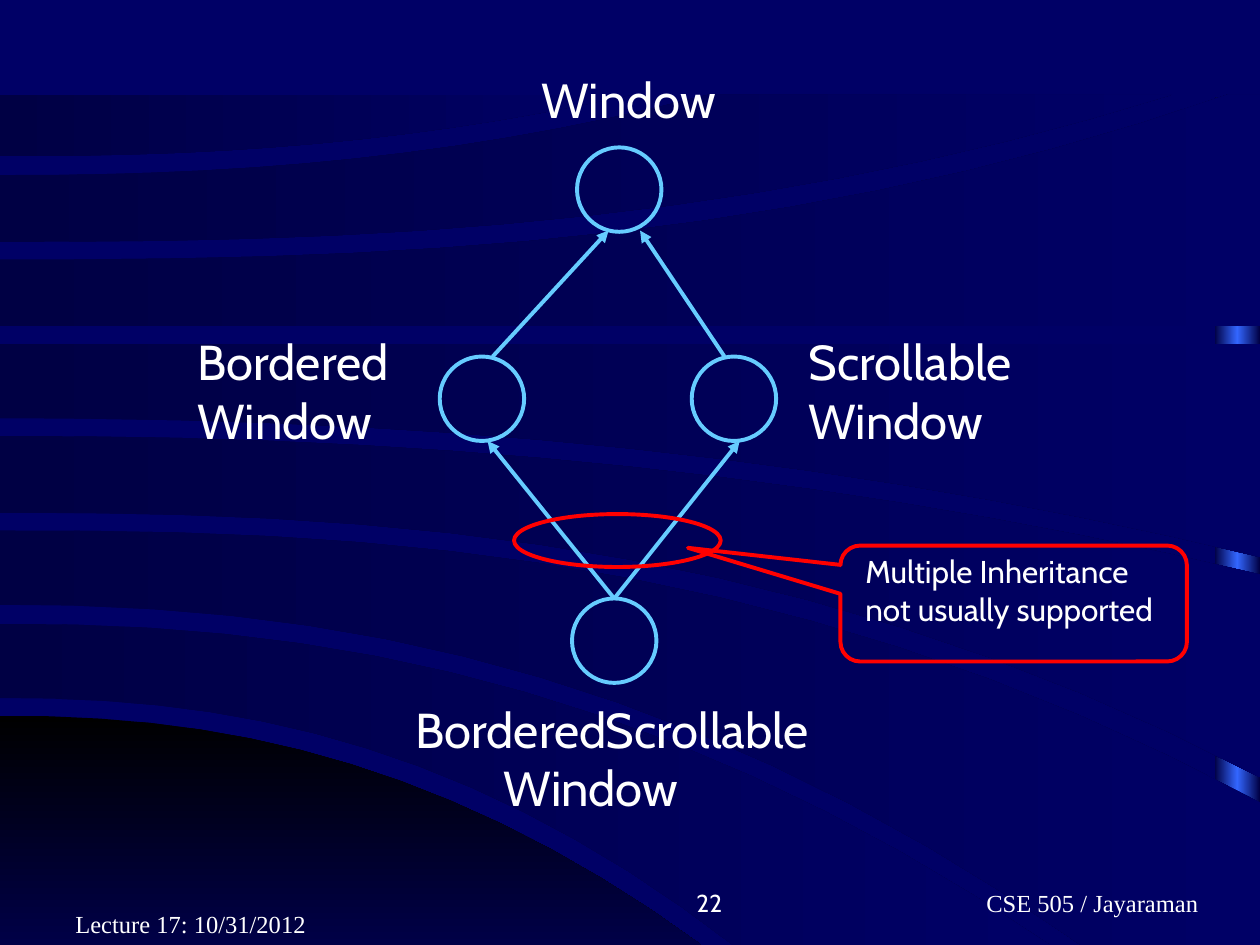
"""Builds the multiple inheritance slide: a diamond of window classes on a banded background."""
from copy import deepcopy
from dataclasses import dataclass

from lxml import etree
from pptx import Presentation
from pptx import util as u
from pptx.dml.color import RGBColor
from pptx.enum import shapes, text
from pptx.oxml.ns import qn

COLS, ROWS = 10, 7.5
TOP_LIMIT, STEPS = 0.75, 14


@dataclass(frozen=True)
class Theme:
    """Colours, fonts and sizes used on the slide."""
    ground: str = "000066"
    band: str = "000044"
    black: str = "000000"
    corner_end: str = "000047"
    glow: str = "3366FF"
    ink: str = "FFFFFF"
    node: str = "66CCFF"
    alert: str = "FF0000"
    sans: str = "Cabin"
    serif: str = "Times New Roman"
    label: int = 28
    note: int = 18
    footer: int = 14
    line: float = 2.25


@dataclass(frozen=True)
class Box:
    """Left, top, width and height in grid columns and rows."""
    x: float
    y: float
    w: float
    h: float


@dataclass(frozen=True)
class Edge:
    """A curve that leaves the left side at a row and drops by a power of its column."""
    row: float
    drop: float = 0
    power: float = 1

    def reach(self) -> float:
        """Return the column where the curve meets a limit or the right side."""
        if self.row in (TOP_LIMIT, ROWS):
            return 0
        if not self.drop:
            return COLS
        room = (ROWS if self.drop > 0 else TOP_LIMIT) - self.row
        return COLS * min(1, (room / self.drop) ** (1 / self.power))

    def points(self) -> list:
        """Return evenly spaced points along the curve."""
        columns = [self.reach() * i / STEPS for i in range(STEPS + 1)]
        return [(x, self.row + self.drop * (x / COLS) ** self.power) for x in columns]


T = Theme()
D = 0.67
CORNER = (Edge(5.68, 6.76, 2.24), Edge(ROWS))
BANDS = (
    (Edge(4.95, 3.83, 2.23), Edge(5.54, 6.81, 2.3)),
    (Edge(4.21, 2.16, 2.5), Edge(4.8, 3.8, 2.23)),
    (Edge(3.46, 1.1, 2.17), Edge(4.07, 2.1, 2.5)),
    (Edge(2.73), Edge(3.32, 1.1, 2.2)),
    (Edge(2.06, -1.4, 2.6), Edge(2.59)),
    (Edge(1.39, -2.4, 2.3), Edge(1.92, -1.4, 2.5)),
    (Edge(TOP_LIMIT), Edge(1.24, -2.4, 2.3)),
)
NODES = {"window": (4.58, 1.17), "bordered": (3.49, 2.83),
         "scrollable": (5.49, 2.83), "both": (4.54, 4.75)}
UPPER_ARROWS = (((3.91, 2.83), (4.83, 1.83)), ((5.75, 2.83), (5.08, 1.83)))
LOWER_TIPS = ((5.87, 3.5), (3.87, 3.5))
LABELS = (
    (("Window",), Box(4.2, 0.5, 1.68, 0.57)),
    (("Scrollable", "Window"), Box(6.32, 2.58, 2.07, 1.04)),
    (("Bordered", "Window"), Box(1.47, 2.58, 2.02, 1.04)),
)

prs = Presentation()
prs.slide_width, prs.slide_height = u.Inches(10), u.Inches(7.5)
s = prs.slides.add_slide(prs.slide_layouts[6])


def at(x: float, y: float) -> tuple:
    """Turn a grid position into slide lengths."""
    return u.Emu(int(prs.slide_width * x / COLS)), u.Emu(int(prs.slide_height * y / ROWS))


def rgb(colour: str) -> RGBColor:
    """Turn a hex string into a colour."""
    return RGBColor.from_string(colour)


def shade(sp, start: str, end: str, angle: float = 0) -> None:
    """Give a shape a two-colour gradient without outline or shadow."""
    sp.shadow.inherit = False
    sp.line.fill.background()
    sp.fill.gradient()
    sp.fill.gradient_angle = angle
    for place, (stop, colour) in enumerate(zip(sp.fill.gradient_stops, (start, end))):
        stop.color.rgb = rgb(colour)
        stop.position = place


def area(upper: Edge, lower: Edge, start: str, end: str, angle: float = 0) -> None:
    """Draw the gradient area between two edges."""
    short, far = sorted((upper, lower), key=Edge.reach)
    corner = (far.reach(), short.points()[-1][1])
    outer = [at(*point) for point in upper.points() + [corner] + lower.points()[::-1]]
    builder = s.shapes.build_freeform(*outer[0])
    builder.add_line_segments(outer[1:], close=True)
    shade(builder.convert_to_shape(), start, end, angle)


def edge_glow(box: Box) -> None:
    """Draw the bar that is bright along its middle."""
    sp = s.shapes.add_shape(shapes.MSO_SHAPE.RECTANGLE, *at(box.x, box.y), *at(box.w, box.h))
    shade(sp, T.band, T.glow)
    stops = sp._element.spPr.find(qn("a:gradFill")).find(qn("a:gsLst"))
    stops.append(deepcopy(stops[0]))
    stops[1].set("pos", "50000")
    stops[2].set("pos", "100000")


def outline(kind, box: Box, colour: str):
    """Draw an unfilled preset shape."""
    sp = s.shapes.add_shape(kind, *at(box.x, box.y), *at(box.w, box.h))
    sp.shadow.inherit = False
    sp.fill.background()
    sp.line.color.rgb = rgb(colour)
    sp.line.width = u.Pt(T.line)
    return sp


def arrow(start: tuple, end: tuple, source=None) -> None:
    """Draw an inheritance arrow, joined to the top of its source if given."""
    c = s.shapes.add_connector(shapes.MSO_CONNECTOR.STRAIGHT, *at(*start), *at(*end))
    if source is not None:
        c.begin_connect(source, 0)
    c.line.color.rgb = rgb(T.node)
    c.line.width = u.Pt(T.line)
    etree.SubElement(c.line._get_or_add_ln(), qn("a:tailEnd"), type="triangle")
    etree.SubElement(c._element.spPr, qn("a:effectLst"))


def write(lines: tuple, box: Box, *, size: int = T.label, font: str = T.sans,
          align=text.PP_ALIGN.LEFT, anchor=text.MSO_ANCHOR.TOP, indents: tuple = ()) -> None:
    """Write one paragraph per line, with optional left indents in columns."""
    tf = s.shapes.add_textbox(*at(box.x, box.y), *at(box.w, box.h)).text_frame
    tf.word_wrap = True
    tf.vertical_anchor = anchor
    for i, line in enumerate(lines):
        p = tf.paragraphs[0] if i == 0 else tf.add_paragraph()
        p.alignment = align
        if indents:
            p._p.get_or_add_pPr().set("marL", str(at(indents[i], 0)[0]))
        r = p.add_run()
        r.text = line
        r.font.size, r.font.name = u.Pt(size), font
        r.font.color.rgb = rgb(T.ink)


def main() -> None:
    """Draw the slide and save it."""
    s.background.fill.solid()
    s.background.fill.fore_color.rgb = rgb(T.ground)
    edge_glow(Box(9.64, 0.77, 0.36, 6.73))
    area(*CORNER, T.black, T.corner_end, 270)
    for band in BANDS:
        area(*band, T.band, T.ground)

    oval = shapes.MSO_SHAPE.OVAL
    nodes = {name: outline(oval, Box(x, y, D, D), T.node) for name, (x, y) in NODES.items()}
    for start, end in UPPER_ARROWS:
        arrow(start, end)
    for tip in LOWER_TIPS:
        arrow((4.87, 4.75), tip, nodes["both"])
    for lines, box in LABELS:
        write(lines, box)
    write(("BorderedScrollable", "Window"), Box(3.2, 5.5, 3.79, 1.04), indents=(0, 0.7))

    outline(oval, Box(4.08, 4.08, 1.64, 0.42), T.alert)
    callout = outline(shapes.MSO_SHAPE.ROUNDED_RECTANGULAR_CALLOUT,
                      Box(6.67, 4.33, 2.75, 0.92), T.alert)
    for i, value in enumerate((-0.94, -0.48, 0.17)):
        callout.adjustments[i] = value
    write(("Multiple Inheritance", "not usually supported"), Box(6.77, 4.33, 2.89, 0.7),
          size=T.note)

    low = {"size": T.footer, "anchor": text.MSO_ANCHOR.BOTTOM}
    write(("Lecture 17: 10/31/2012",), Box(0.5, 7, 2.08, 0.5), font=T.serif, **low)
    write(("22",), Box(3.75, 6.83, 2.08, 0.5), align=text.PP_ALIGN.RIGHT, **low)
    write(("CSE 505 / Jayaraman",), Box(6.58, 6.83, 3.17, 0.5), font=T.serif,
          indents=(1.15,), **low)
    prs.save("out.pptx")


if __name__ == "__main__":
    main()
